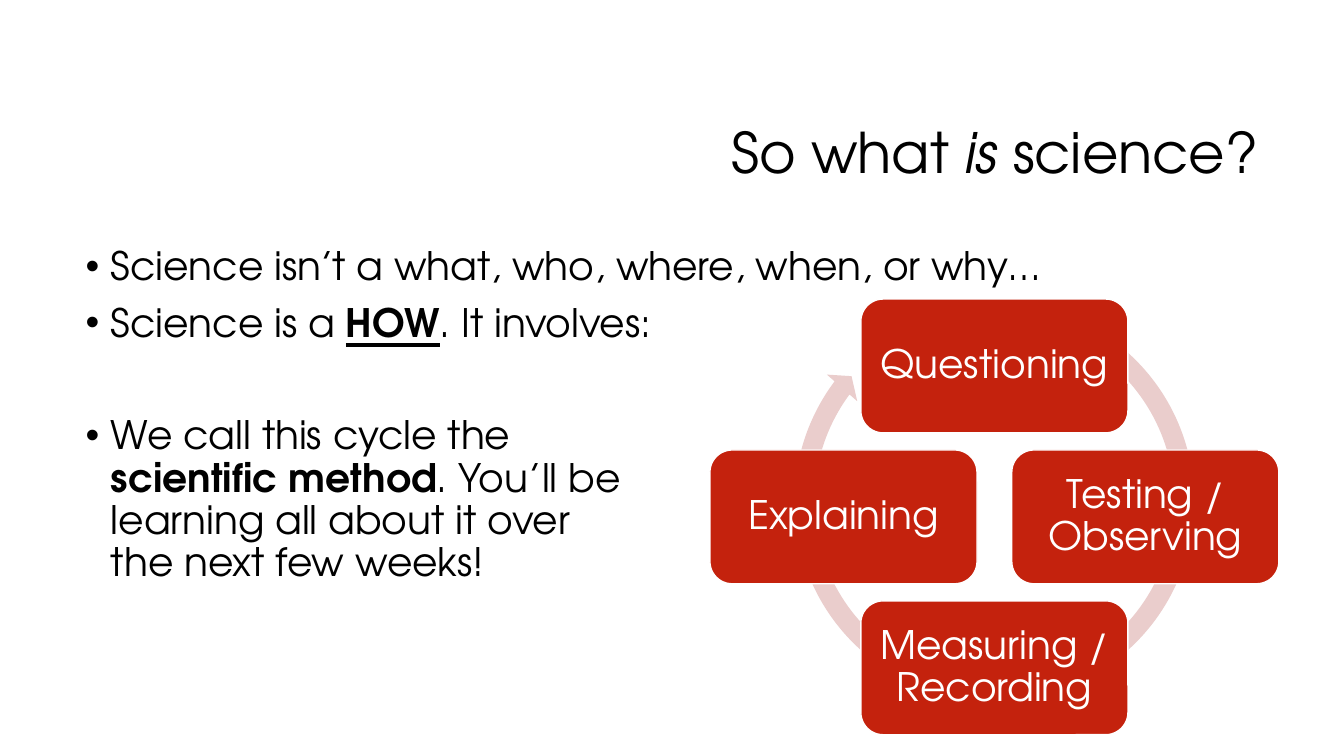
from dataclasses import dataclass
from math import cos, pi, sin

from lxml.etree import SubElement
from pptx import Presentation
from pptx.dml.color import RGBColor as Rgb
from pptx.enum.shapes import MSO_SHAPE as Preset
from pptx.enum.text import MSO_ANCHOR as Anchor
from pptx.enum.text import MSO_AUTO_SIZE as AutoSize
from pptx.enum.text import PP_ALIGN as Align
from pptx.oxml.ns import qn
from pptx.util import Pt


@dataclass(frozen=True)
class Theme:
    font: str = "TeX Gyre Adventor"
    ink: Rgb = Rgb(0, 0, 0)
    paper: Rgb = Rgb(255, 255, 255)
    node: Rgb = Rgb(0xC4, 0x22, 0x0D)
    ring: Rgb = Rgb(0xEA, 0xCD, 0xCC)
    title_size: int = 40
    text_size: int = 28


@dataclass(frozen=True)
class Span:
    text: str
    bold: bool = False
    italic: bool = False
    underline: bool = False


@dataclass(frozen=True)
class Bullet:
    spans: tuple[Span, ...]
    before: float = 0


@dataclass(frozen=True)
class Step:
    label: str
    turn: float


THEME = Theme()
CENTER_X, CENTER_Y, RADIUS = 710.3, 369.2, 107.8
NODE_W, NODE_H = 190.8, 95.6
RING_SIZE = 300.2
RING_TOP = 208.1
RING_ADJUSTMENTS = (0.047, 2.729, 130.017, 179.158, 0.048)

HEADING = (Span("So what "), Span("is", italic=True), Span(" science?"))
BULLETS = (
    Bullet((Span("Science isn’t a what, who, where, when, or why…"),)),
    Bullet(
        (
            Span("Science is a "),
            Span("HOW", bold=True, underline=True),
            Span(". It involves:"),
        ),
        before=10,
    ),
    Bullet(
        (
            Span("We call this cycle the\n"),
            Span("scientific method", bold=True),
            Span(". You’ll be\nlearning all about it over\nthe next few weeks!"),
        ),
        before=50.3,
    ),
)
STEPS = (
    Step("Questioning", 0),
    Step("Testing / Observing", 0.25),
    Step("Measuring / Recording", 0.5),
    Step("Explaining", 0.75),
)


def write(paragraph, text: str, *, size: float = THEME.text_size,
          color: Rgb = THEME.ink, bold: bool = False,
          italic: bool = False, underline: bool = False) -> None:
    for index, line in enumerate(text.split("\n")):
        if index:
            paragraph.add_line_break()
        if not line:
            continue
        run = paragraph.add_run()
        run.text = line
        font = run.font
        font.name, font.size = THEME.font, Pt(size)
        font.bold, font.italic, font.underline = bold, italic, underline
        font.color.rgb = color


def write_spans(paragraph, spans: tuple[Span, ...], size: float) -> None:
    for span in spans:
        write(paragraph, span.text, size=size, bold=span.bold,
              italic=span.italic, underline=span.underline)


def place(shape, left: float, top: float, width: float, height: float) -> None:
    shape.left, shape.top = Pt(left), Pt(top)
    shape.width, shape.height = Pt(width), Pt(height)


def set_bullet(paragraph) -> None:
    properties = paragraph._p.get_or_add_pPr()
    properties.set("marL", str(Pt(18)))
    properties.set("indent", str(-Pt(18)))
    SubElement(properties, qn("a:buFont")).set("typeface", "Arial")
    SubElement(properties, qn("a:buChar")).set("char", "•")


def fill_title(title) -> None:
    place(title, 228, 60.5, 678, 101.5)
    frame = title.text_frame
    frame.auto_size = AutoSize.NONE
    frame.vertical_anchor = Anchor.MIDDLE
    paragraph = frame.paragraphs[0]
    paragraph.alignment = Align.RIGHT
    paragraph.line_spacing = 0.9
    write_spans(paragraph, HEADING, THEME.title_size)


def fill_body(body) -> None:
    place(body, 54, 172.8, 852, 316.8)
    frame = body.text_frame
    frame.auto_size = AutoSize.NONE
    for index, bullet in enumerate(BULLETS):
        paragraph = frame.add_paragraph() if index else frame.paragraphs[0]
        paragraph.line_spacing = 0.9
        paragraph.space_before = Pt(bullet.before)
        set_bullet(paragraph)
        write_spans(paragraph, bullet.spans, THEME.text_size)


def draw_ring(shapes) -> None:
    ring = shapes.add_shape(
        Preset.CIRCULAR_ARROW, Pt(CENTER_X - RING_SIZE / 2), Pt(RING_TOP),
        Pt(RING_SIZE), Pt(RING_SIZE))
    for index, value in enumerate(RING_ADJUSTMENTS):
        ring.adjustments[index] = value
    ring.shadow.inherit = False
    ring.fill.solid()
    ring.fill.fore_color.rgb = THEME.ring
    ring.line.fill.background()


def draw_step(shapes, step: Step) -> None:
    angle = 2 * pi * step.turn
    left = CENTER_X + RADIUS * sin(angle) - NODE_W / 2
    top = CENTER_Y - RADIUS * cos(angle) - NODE_H / 2
    node = shapes.add_shape(Preset.ROUNDED_RECTANGLE, Pt(left), Pt(top),
                            Pt(NODE_W), Pt(NODE_H))
    node.shadow.inherit = False
    node.fill.solid()
    node.fill.fore_color.rgb = THEME.node
    node.line.color.rgb = THEME.paper
    node.line.width = Pt(1)
    frame = node.text_frame
    frame.word_wrap = True
    frame.vertical_anchor = Anchor.MIDDLE
    frame.margin_left = frame.margin_right = Pt(8.4)
    frame.margin_top = frame.margin_bottom = Pt(8.4)
    paragraph = frame.paragraphs[0]
    paragraph.alignment = Align.CENTER
    paragraph.line_spacing = 0.9
    write(paragraph, step.label, color=THEME.paper)


def main() -> None:
    deck = Presentation()
    deck.slide_width, deck.slide_height = Pt(960), Pt(540)
    slide = deck.slides.add_slide(deck.slide_layouts[1])
    slide.background.fill.solid()
    slide.background.fill.fore_color.rgb = THEME.paper
    fill_title(slide.shapes.title)
    fill_body(slide.placeholders[1])
    draw_ring(slide.shapes)
    for step in STEPS:
        draw_step(slide.shapes, step)
    deck.save("out.pptx")


if __name__ == "__main__":
    main()
